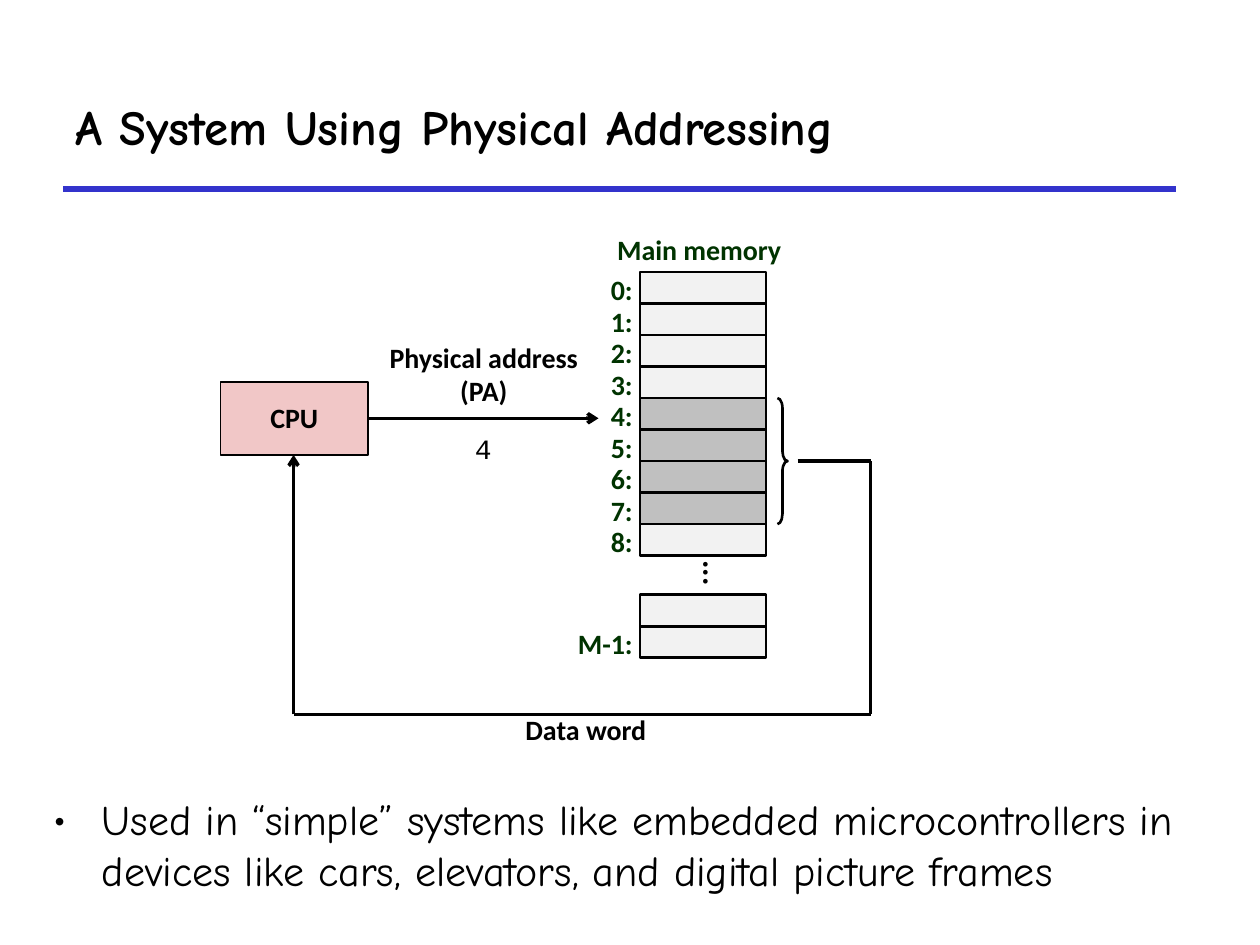
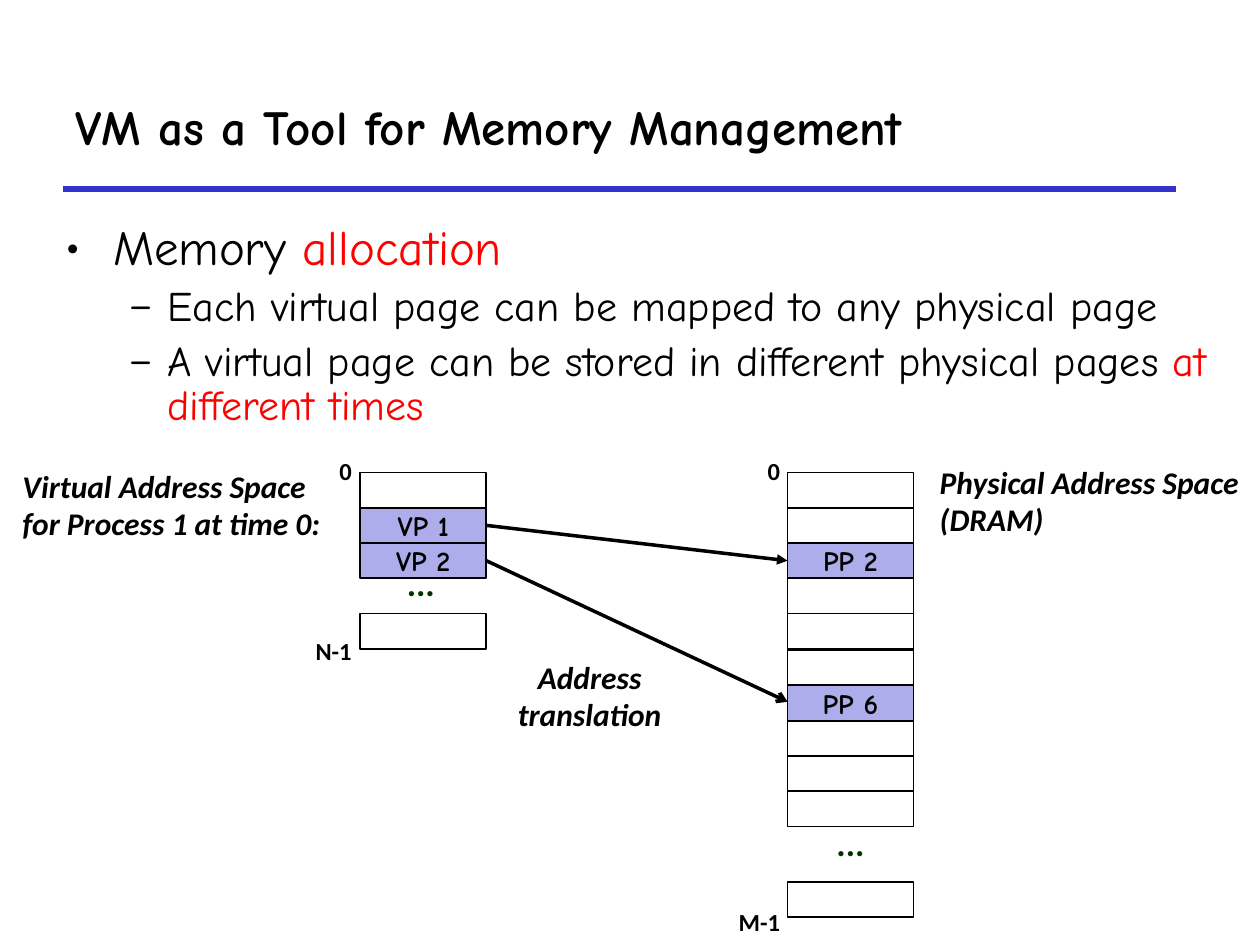
from lxml import etree
from pptx import Presentation
from pptx.dml.color import RGBColor
from pptx.enum.shapes import MSO_CONNECTOR, MSO_SHAPE
from pptx.enum.text import MSO_ANCHOR, PP_ALIGN
from pptx.oxml.ns import qn
from pptx.util import Pt

RECT = MSO_SHAPE.RECTANGLE
BRACE = MSO_SHAPE.RIGHT_BRACE
STRAIGHT = MSO_CONNECTOR.STRAIGHT
TOP, MIDDLE = MSO_ANCHOR.TOP, MSO_ANCHOR.MIDDLE
LEFT, CENTER, RIGHT = PP_ALIGN.LEFT, PP_ALIGN.CENTER, PP_ALIGN.RIGHT

PX = 9144
HAND, SANS, MONO = "Comic Neue", "Calibri", "Courier New"
COLORS = {
    "black": "000000", "rule": "3333CC", "green": "003300", "red": "FF0000",
    "pink": "F1C7C7", "light": "F2F2F2", "gray": "C0C0C0", "lilac": "ADADEB",
}
HUE = {name: RGBColor.from_string(code) for name, code in COLORS.items()}


def write(text, slide, box, size=16, font=SANS, color="black", bold=True,
          italic=False, align=LEFT, anchor=TOP, wrap=False, space=0.98,
          before=0, marks={}, edge=0, fill=None, shape=RECT):
    area = [v * PX for v in box]
    if edge:
        item = slide.shapes.add_shape(shape, *area)
        item.shadow.inherit = False
        item.line.color.rgb = HUE["black"]
        item.line.width = Pt(edge)
        item.fill.background()
        if fill:
            item.fill.solid()
            item.fill.fore_color.rgb = HUE[fill]
    else:
        item = slide.shapes.add_textbox(*area)
    if not text:
        return item
    frame = item.text_frame
    frame.word_wrap = wrap
    frame.vertical_anchor = anchor
    for i, row in enumerate(text.split("\n")):
        para = frame.paragraphs[0] if i == 0 else frame.add_paragraph()
        para.alignment = align
        points, lead, gap = size, space, before
        mark = row[0] if row[0] in marks else None
        if mark:
            row = row[1:].lstrip()
            indent, hang, points, lead, gap = marks[mark]
        para.line_spacing = lead
        para.space_before = Pt(gap)
        if mark:
            props = para._p.get_or_add_pPr()
            props.set("marL", str(indent * PX))
            props.set("indent", str(-hang * PX))
            etree.SubElement(props, qn("a:buFont")).set("typeface", font)
            etree.SubElement(props, qn("a:buChar")).set("char", mark)
        for j, part in enumerate(row.split("*")):
            if part:
                run = para.add_run()
                run.text = part
                run.font.size = Pt(points)
                run.font.name = font
                run.font.bold = bold
                run.font.italic = italic
                run.font.color.rgb = HUE["red" if j % 2 else color]
    return item


def link(slide, ends, color="black", width=2, head=None):
    item = slide.shapes.add_connector(STRAIGHT, *[v * PX for v in ends])
    item.line.color.rgb = HUE[color]
    item.line.width = Pt(width)
    if head:
        line = item.line._get_or_add_ln()
        etree.SubElement(line, qn("a:tailEnd")).set("type", head)
    etree.SubElement(item._element.spPr, qn("a:effectLst"))


deck = Presentation()
deck.slide_width, deck.slide_height = 1000 * PX, 750 * PX
slides = []
for title, width in (("A System Using Physical Addressing", 883),
                     ("VM as a Tool for Memory Management", 942)):
    slide = deck.slides.add_slide(deck.slide_layouts[6])
    link(slide, (50, 150, 933, 150), color="rule", width=3)
    write(title, slide, (50, 50, width, 100), size=28, font=HAND,
          anchor=MIDDLE, wrap=True, space=1)
    slides.append(slide)
first, second = slides

write("• Used in “simple” systems like embedded microcontrollers in devices "
      "like cars, elevators, and digital picture frames",
      first, (33, 625, 950, 96), font=HAND, bold=False, wrap=True,
      marks={"•": (38, 38, 24, 1, 6)})

label = dict(color="green", space=0.88, before=6)
write("Main memory", first, (475, 183, 160, 33), align=CENTER, **label)
cells = [(f"{i}:", 216 + 25 * i) for i in range(9)]
cells += [("", 472), ("M-1:", 497)]
for i, (text, top) in enumerate(cells):
    write("", first, (508, top, 100, 25), edge=1.5,
          fill="gray" if 4 <= i <= 7 else "light")
    if text:
        write(text, first, (422, top - 1, 90, 33), align=RIGHT, wrap=True,
              **label)

mid = dict(align=CENTER, anchor=MIDDLE)
dots = write("...", first, (517, 435, 100, 25), size=18, **mid)
dots.text_frame._txBody.bodyPr.set("vert", "eaVert")
write("CPU", first, (175, 303, 117, 58), edge=1, fill="pink", **mid)
write("Physical address\n(PA)", first, (289, 267, 190, 62), **mid)
write("Data word", first, (397, 562, 136, 36), **mid)
write("4", first, (367, 338, 33, 37), font=MONO, bold=False, wrap=True,
      space=1)
brace = write("", first, (617, 316, 8, 100), edge=1.5, shape=BRACE)
brace.adjustments[0] = 1

link(first, (292, 332, 475, 332), head="arrow")
route = [(633, 366), (691, 366), (691, 567), (233, 567), (233, 361)]
for start, end in zip(route, route[1:]):
    link(first, start + end, head="arrow" if end == route[-1] else None)

write("• Memory *allocation*\n"
      "– Each virtual page can be mapped to any physical page\n"
      "– A virtual page can be stored in different physical pages "
      "*at different times*",
      second, (42, 175, 933, 208), font=HAND, bold=False, wrap=True,
      marks={"•": (38, 38, 28, 0.83, 7), "–": (81, 31, 24, 0.88, 6)})

note = dict(size=18, italic=True)
write("Virtual Address Space for Process 1 at time 0:", second,
      (8, 367, 258, 69), wrap=True, **note)
write("Physical Address Space (DRAM)", second, (736, 364, 268, 69),
      wrap=True, **note)
write("Address\ntranslation", second, (391, 517, 154, 70), align=CENTER,
      space=1, **note)

spaces = (
    (286, (0, 1, 2, 4), {1: "VP 1", 2: "VP 2"}),
    (625, range(10), {2: "PP 2", 6: "PP 6"}),
)
for left, rows, pages in spaces:
    for i in rows:
        write(pages.get(i, ""), second,
              (left, round(375 + 28.1 * i), 100, 28), font=HAND, space=1,
              wrap=True, edge=1, fill="lilac" if i in pages else None, **mid)
write("", second, (625, 700, 100, 28), edge=1)

for left, top in ((313, 445), (654, 651)):
    write("...", second, (left, top, 42, 39), size=20, color="green",
          space=0.88, before=9)
for text, left, top in (("0", 209, 358), ("N-1", 209, 501),
                        ("0", 549, 358), ("M-1", 549, 716)):
    write(text, second, (left, top, 80, 33), size=14, align=RIGHT, wrap=True)

link(second, (386, 417, 625, 445), head="triangle")
link(second, (386, 445, 625, 557), head="arrow")

deck.save("out.pptx")
